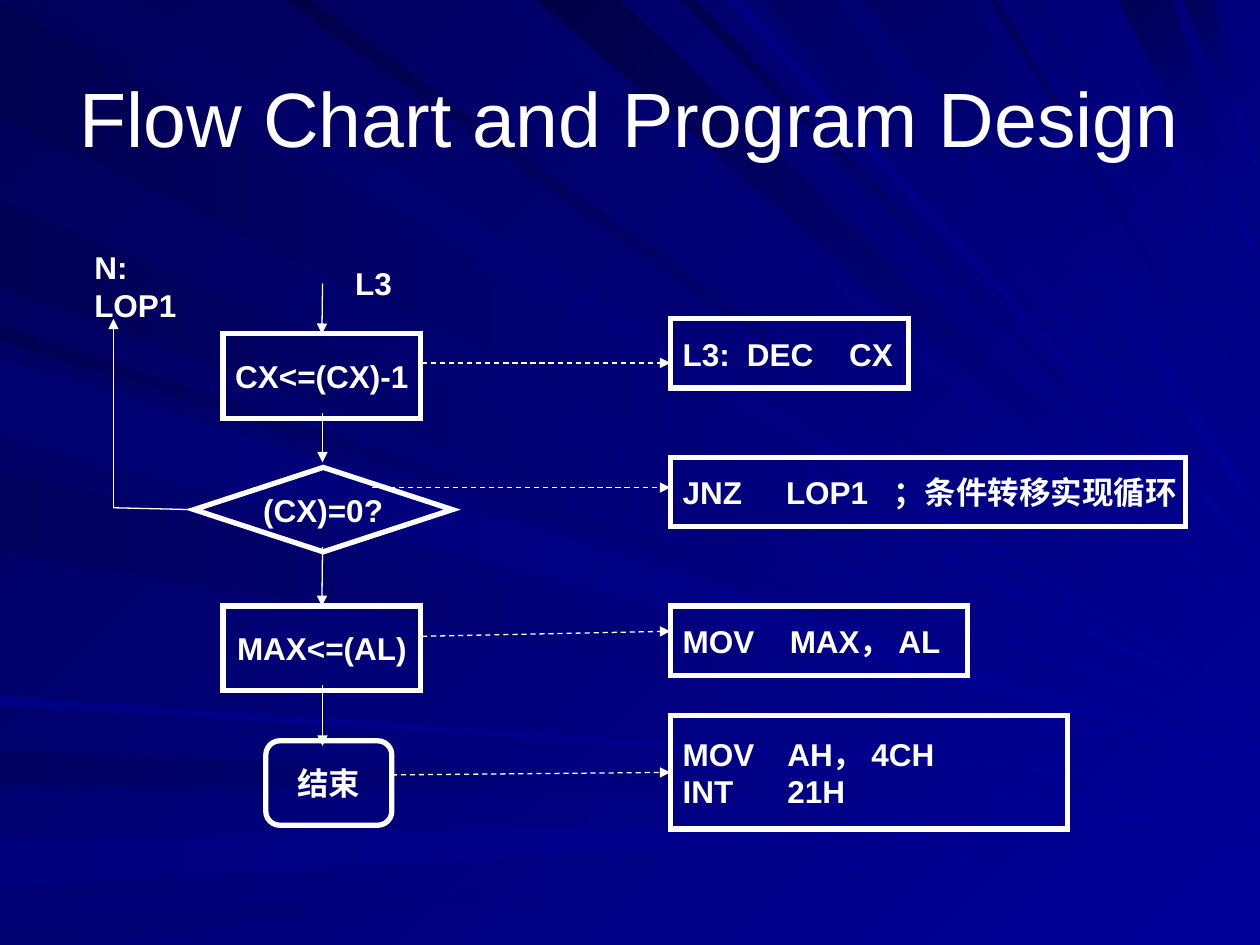
"""Build a slide that pairs a flow chart with its assembly program."""
from lxml import etree
from pptx import Presentation
from pptx.dml.color import RGBColor
from pptx.enum.dml import MSO_LINE
from pptx.enum.shapes import MSO_CONNECTOR, MSO_SHAPE
from pptx.enum.text import MSO_ANCHOR, PP_ALIGN
from pptx.oxml.ns import qn
from pptx.util import Inches, Pt

STRAIGHT = MSO_CONNECTOR.STRAIGHT
DASH = MSO_LINE.DASH
STEP = MSO_SHAPE.FLOWCHART_PROCESS
TEST = MSO_SHAPE.FLOWCHART_DECISION
STOP = MSO_SHAPE.FLOWCHART_ALTERNATE_PROCESS
LEFT, CENTER = PP_ALIGN.LEFT, PP_ALIGN.CENTER
TOP, MIDDLE = MSO_ANCHOR.TOP, MSO_ANCHOR.MIDDLE

THEME = {
    "font": "Arial", "ink": "FFFFFF", "title": 44, "body": 18,
    "frame": 3, "wire": 0.75, "dark": "000058", "blue": "000099",
}
WIDE, HIGH = 10, 7.5
AXIS, CODE_X, LOOP_X = 2.56, 5.32, 0.9
STEP_H, CODE_H = 0.67, 0.55

TITLE = ("Flow Chart and Program Design", (0.5, 0.3, 9, 1.25))
LABELS = [
    ("N: LOP1", (0.65, 1.92, 1.18, 0.4)),
    ("L3", (2.72, 2.05, 0.49, 0.4)),
]
STEPS = {
    "count": (STEP, "CX<=(CX)-1", 1.77, 2.65, 1.57),
    "test": (TEST, "(CX)=0?", 1.54, 3.71, 2.05),
    "store": (STEP, "MAX<=(AL)", 1.77, 4.81, 1.57),
    "end": (STOP, "结束", 2.11, 5.88, 1),
}
CODES = {
    "dec": ("L3:\tDEC\tCX", 2.53, 1.89, (0.51, 1.32)),
    "jump": ("JNZ\tLOP1\t；条件转移实现循环", 3.63, 4.09, (0.82, 1.67)),
    "move": ("MOV\tMAX， AL", 4.81, 2.36, (0.85,)),
    "exit": ("MOV\tAH， 4CH\nINT\t21H", 5.68, 3.15, (0.83,)),
}
FLOWS = [(2.25, 2.65, "count"), (3.28, 3.67, None),
         (4.34, 4.81, "store"), (5.44, 5.92, None)]
NOTES = [(3.35, 2.88, 2.88, None), (2.95, 3.87, 3.87, None),
         (3.35, 5.05, 5.01, None), (3.11, 6.15, 6.15, "exit")]
LOOP_Y, LOOP_TOP = 4.03, 2.53

RAYS = [
    ("left", 0.02, 0.93, 5.7, "51"), ("top", 0.26, 1.01, 5.63, "5D"),
    ("left", 5.96, 6.23, 6.32, "61"), ("left", 6.65, 7.04, 6.47, "7D"),
    ("left", 7.35, 7.5, 6.62, "6F"), ("left", 2.58, 2.7, 5.89, "53"),
    ("left", 1.59, 2.28, 5.85, "55"), ("top", 3.98, 4.16, 5.18, "6B"),
    ("top", 4.26, 4.92, 4.93, "47"), ("top", 5.4, 5.52, 4.63, "4F"),
    ("top", 6.06, 6.61, 4.46, "65"), ("top", 8.87, 9.3, 2.1, "55"),
    ("top", 9.39, 9.64, 1.4, "59"), ("left", 2.78, 3.42, 6, "61"),
    ("left", 3.74, 4.37, 6.06, "5D"), ("left", 5.52, 5.6, 6.22, "82"),
    ("top", 2.25, 2.47, 5.5, "4A"), ("top", 5.77, 5.88, 4.54, "82"),
    ("top", 6.86, 7.7, 4.09, "65"), ("top", 7.85, 7.92, 3.57, "58"),
    ("top", 8.15, 8.24, 3.36, "6F"), ("top", 8.65, 8.72, 2.54, "79"),
    ("left", 2.83, 3.47, 6.04, "6F"),
]


def color(code):
    return RGBColor.from_string(code)


def paint(fill, first, angle):
    fill.gradient()
    fill.gradient_angle = -angle % 360
    for stop, code in zip(fill.gradient_stops, (first, THEME["blue"])):
        stop.color.rgb = color(code)


def write(shape, text, size=THEME["body"], bold=True, align=CENTER,
          anchor=MIDDLE, wrap=False, right=0.1, tabs=()):
    frame = shape.text_frame
    frame.word_wrap = wrap
    frame.vertical_anchor = anchor
    frame.margin_left, frame.margin_right = Inches(0.1), Inches(right)
    frame.margin_top = frame.margin_bottom = Inches(0.05)
    for row, line in enumerate(text.split("\n")):
        para = frame.add_paragraph() if row else frame.paragraphs[0]
        para.alignment = align
        if tabs:
            group = etree.SubElement(para._p.get_or_add_pPr(), qn("a:tabLst"))
            for tab in tabs:
                etree.SubElement(group, qn("a:tab"), pos=str(Inches(tab)), algn="l")
        run = para.add_run()
        run.text = line
        font = run.font
        font.name, font.size, font.bold = THEME["font"], Pt(size), bold
        font.color.rgb = color(THEME["ink"])


def label(slide, text, place, **style):
    write(slide.shapes.add_textbox(*map(Inches, place)), text, **style)


def stroke(line, width):
    line.width = Pt(width)
    line.color.rgb = color(THEME["ink"])


def frame_box(slide, kind, place, text, **style):
    box = slide.shapes.add_shape(kind, *map(Inches, place))
    box.shadow.inherit = False
    box.fill.background()
    stroke(box.line, THEME["frame"])
    etree.SubElement(box.line._get_or_add_ln(), qn("a:miter"), lim="800000")
    write(box, text, **style)
    return box


def add_ray(slide, edge, near, far, tip, shade):
    if edge == "top":
        base, angle = [(near, 0), (far, 0)], 45
    else:
        base, angle = [(0, near), (0, far)], 0
    start, *rest = [(Inches(x), Inches(y)) for x, y in base + [(WIDE, tip)]]
    pen = slide.shapes.build_freeform(*start)
    pen.add_line_segments(rest, close=True)
    ray = pen.convert_to_shape()
    ray.shadow.inherit = False
    ray.line.fill.background()
    paint(ray.fill, "0000" + shade, angle)


def add_link(slide, ends, head=True, dash=False):
    link = slide.shapes.add_connector(STRAIGHT, *map(Inches, ends))
    stroke(link.line, THEME["wire"])
    if dash:
        link.line.dash_style = DASH
    if head:
        etree.SubElement(link.line._get_or_add_ln(), qn("a:tailEnd"), type="triangle")
    etree.SubElement(link._element.spPr, qn("a:effectLst"))
    return link


def main():
    deck = Presentation()
    deck.slide_width, deck.slide_height = Inches(WIDE), Inches(HIGH)
    slide = deck.slides.add_slide(deck.slide_layouts[6])
    paint(slide.background.fill, THEME["dark"], 45)
    for ray in RAYS:
        add_ray(slide, *ray)
    label(slide, *TITLE, size=THEME["title"], bold=False, wrap=True)
    boxes = {}
    for name, (kind, text, left, top, width) in STEPS.items():
        boxes[name] = frame_box(slide, kind, (left, top, width, STEP_H), text)
    for name, (text, top, width, tabs) in CODES.items():
        height = CODE_H + 0.35 * text.count("\n")
        boxes[name] = frame_box(slide, STEP, (CODE_X, top, width, height), text,
                                align=LEFT, wrap=True, right=0, tabs=tabs)
    for start, stop, goal in FLOWS:
        link = add_link(slide, (AXIS, start, AXIS, stop))
        if goal:
            link.end_connect(boxes[goal], 0)
    for left, start, stop, goal in NOTES:
        link = add_link(slide, (left, start, CODE_X, stop), dash=True)
        if goal:
            link.end_connect(boxes[goal], 1)
    back = add_link(slide, (STEPS["test"][2], LOOP_Y, LOOP_X, LOOP_Y), head=False)
    back.begin_connect(boxes["test"], 1)
    add_link(slide, (LOOP_X, LOOP_Y, LOOP_X, LOOP_TOP))
    for text, place in LABELS:
        label(slide, text, place, align=LEFT, anchor=TOP)
    deck.save("out.pptx")


if __name__ == "__main__":
    main()
